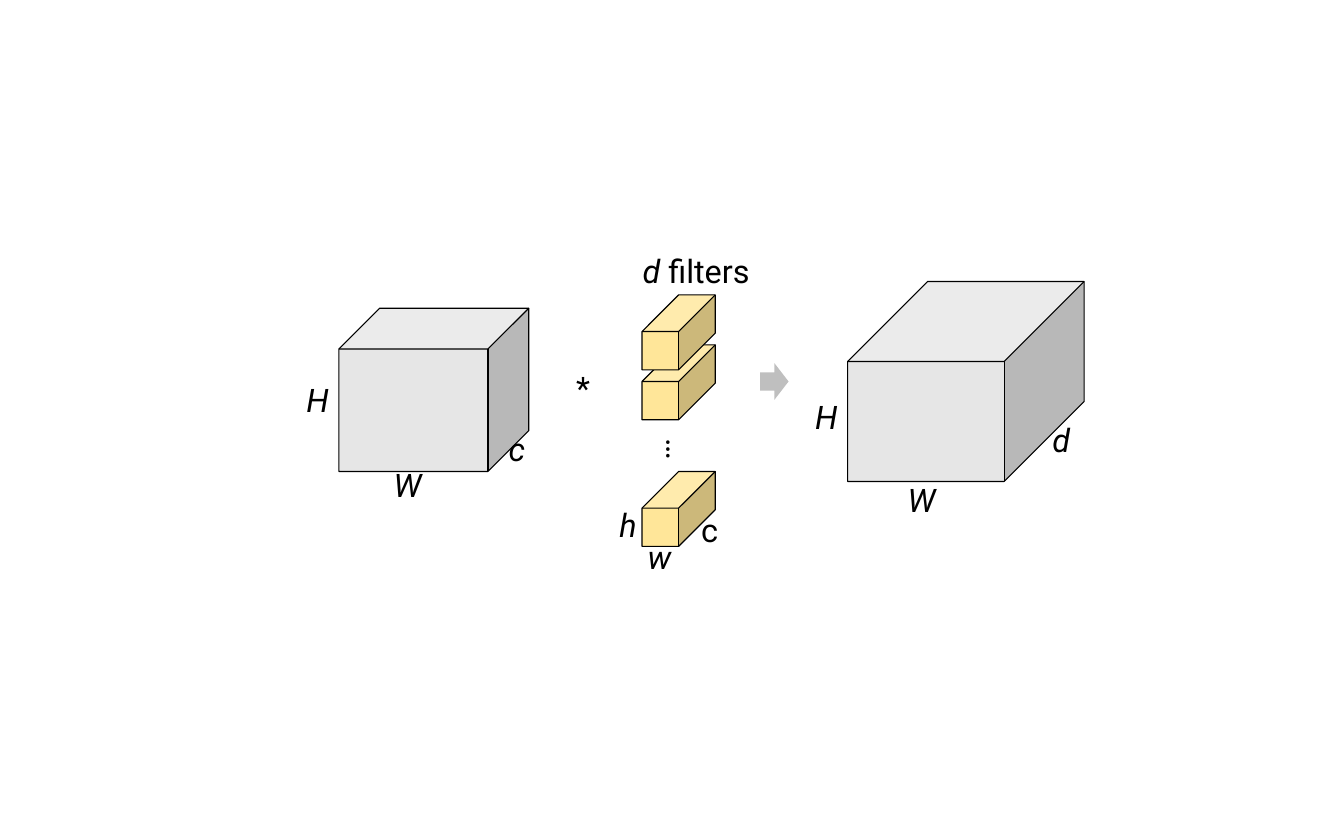
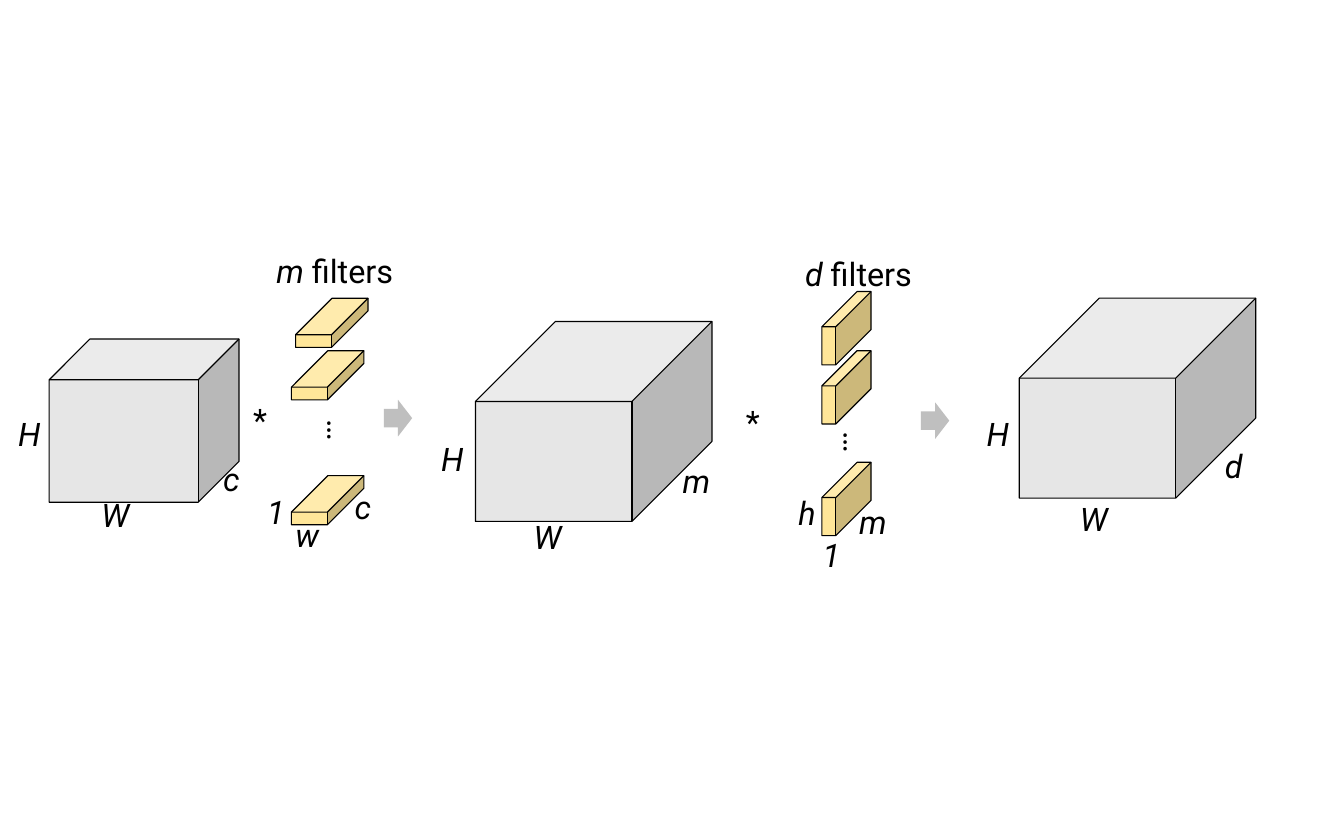
from pptx import Presentation, util as u
from pptx.dml.color import RGBColor
from pptx.enum import shapes, text

# Shared look
WIDTH, HEIGHT = 16.14, 10
BLACK = RGBColor(0x00, 0x00, 0x00)
WHITE = RGBColor(0xFF, 0xFF, 0xFF)
GREY = RGBColor(0xE6, 0xE6, 0xE6)
YELLOW = RGBColor(0xFF, 0xE6, 0x99)
ARROW_GREY = RGBColor(0xBF, 0xBF, 0xBF)
FONT = dict(name="Roboto", size=u.Pt(28))
LABEL = (1.35, 0.57)
DOTS = (0.81, 0.57)
CAPTION = (3.36, 0.57)
ARROW = (0.34, 0.44)

# Kinds of block: width, height, depth share, fill
BLOCKS = {
    "input": (2.28, 1.96, 0.25, GREY),
    "output": (2.84, 2.4, 0.4, GREY),
    "full": (0.88, 0.9, 0.501, YELLOW),
    "flat": (0.87, 0.59, 0.742, YELLOW),
    "thin": (0.59, 0.88, 0.716, YELLOW),
}
LEFT, CENTER = text.PP_ALIGN.LEFT, text.PP_ALIGN.CENTER

# Content. Blocks: kind, corner, dimension labels as (text, offset from corner).
# Filters: kind, corners from back to front, labels of the last one,
# dots corner, caption (variable, corner, alignment).
SLIDES = [
    dict(
        volumes=[
            ("input", (4.07, 3.7),
             [("H", -0.49, 0.82), ("W", 0.56, 1.84), ("c", 1.94, 1.4)]),
            ("output", (10.18, 3.38),
             [("H", -0.49, 1.34), ("W", 0.62, 2.33), ("d", 2.36, 1.62)]),
        ],
        filters=[
            ("full", [(7.71, 4.14), (7.71, 3.54), (7.71, 5.66)],
             [("h", -0.37, 0.35), ("w", -0.03, 0.74), ("c", 0.61, 0.42, False)],
             (7.75, 5.28), ("d", (6.68, 2.97), CENTER)),
        ],
        stars=[(6.82, 4.37)],
        arrows=[(9.13, 4.36)],
    ),
    dict(
        volumes=[
            ("input", (0.59, 4.07),
             [("H", -0.47, 0.85), ("W", 0.53, 1.83), ("c", 1.99, 1.39)]),
            ("output", (5.71, 3.86),
             [("H", -0.51, 1.36), ("W", 0.6, 2.3), ("m", 2.39, 1.63)]),
            ("output", (12.24, 3.58),
             [("H", -0.49, 1.34), ("W", 0.63, 2.36), ("d", 2.37, 1.73)]),
        ],
        filters=[
            ("flat", [(3.55, 3.58), (3.5, 4.21), (3.5, 5.71)],
             [("1", -0.39, 0.15), ("w", -0.05, 0.43), ("c", 0.66, 0.09)],
             (3.68, 5.06), ("m", (2.34, 2.96), CENTER)),
            ("thin", [(9.87, 3.5), (9.87, 4.21), (9.87, 5.55)],
             [("h", -0.38, 0.32), ("1", -0.09, 0.82), ("m", 0.35, 0.43)],
             (9.88, 5.2), ("d", (9.57, 3), LEFT)),
        ],
        stars=[(2.94, 4.75), (8.86, 4.78)],
        arrows=[(4.61, 4.8), (11.06, 4.83)],
    ),
]


def box(corner, size):
    return [u.Inches(v) for v in (*corner, *size)]


def add_preset(s, preset, corner, size, fill):
    sp = s.shapes.add_shape(preset, *box(corner, size))
    sp.shadow.inherit = False
    sp.fill.solid()
    sp.fill.fore_color.rgb = fill
    sp.line.fill.background()
    return sp


def add_block(s, kind, corner):
    w, h, depth, fill = BLOCKS[kind]
    sp = add_preset(s, shapes.MSO_SHAPE.CUBE, corner, (w, h), fill)
    sp.adjustments[0] = depth
    sp.line.color.rgb = BLACK
    sp.line.width = u.Pt(1)


def add_text(s, runs, corner, size=LABEL, align=LEFT, rotation=0):
    sp = s.shapes.add_textbox(*box(corner, size))
    sp.rotation = rotation
    tf = sp.text_frame
    tf.word_wrap = True
    tf.auto_size = text.MSO_AUTO_SIZE.SHAPE_TO_FIT_TEXT
    p = tf.paragraphs[0]
    p.alignment = align
    for words, italic in runs:
        r = p.add_run()
        r.text = words
        for key, value in dict(FONT, italic=italic).items():
            setattr(r.font, key, value)
        r.font.color.rgb = BLACK


def add_labels(s, labels, corner):
    for name, dx, dy, *upright in labels:
        add_text(s, [(name, not upright)], (corner[0] + dx, corner[1] + dy))


prs = Presentation()
prs.slide_width, prs.slide_height = u.Inches(WIDTH), u.Inches(HEIGHT)

for content in SLIDES:
    s = prs.slides.add_slide(prs.slide_layouts[6])
    s.background.fill.solid()
    s.background.fill.fore_color.rgb = WHITE

    # Volumes with their dimensions
    for kind, corner, labels in content["volumes"]:
        add_block(s, kind, corner)
        add_labels(s, labels, corner)

    # Filter stacks with dots and caption
    for kind, corners, labels, dots, caption in content["filters"]:
        for corner in corners:
            add_block(s, kind, corner)
        add_labels(s, labels, corners[-1])
        add_text(s, [("…", False)], dots, DOTS, rotation=90)
        name, corner, align = caption
        add_text(s, [(name, True), (" filters", False)], corner, CAPTION, align)

    # Operators
    for corner in content["stars"]:
        add_text(s, [("*", False)], corner)
    for corner in content["arrows"]:
        add_preset(s, shapes.MSO_SHAPE.RIGHT_ARROW, corner, ARROW, ARROW_GREY)

prs.save("out.pptx")
